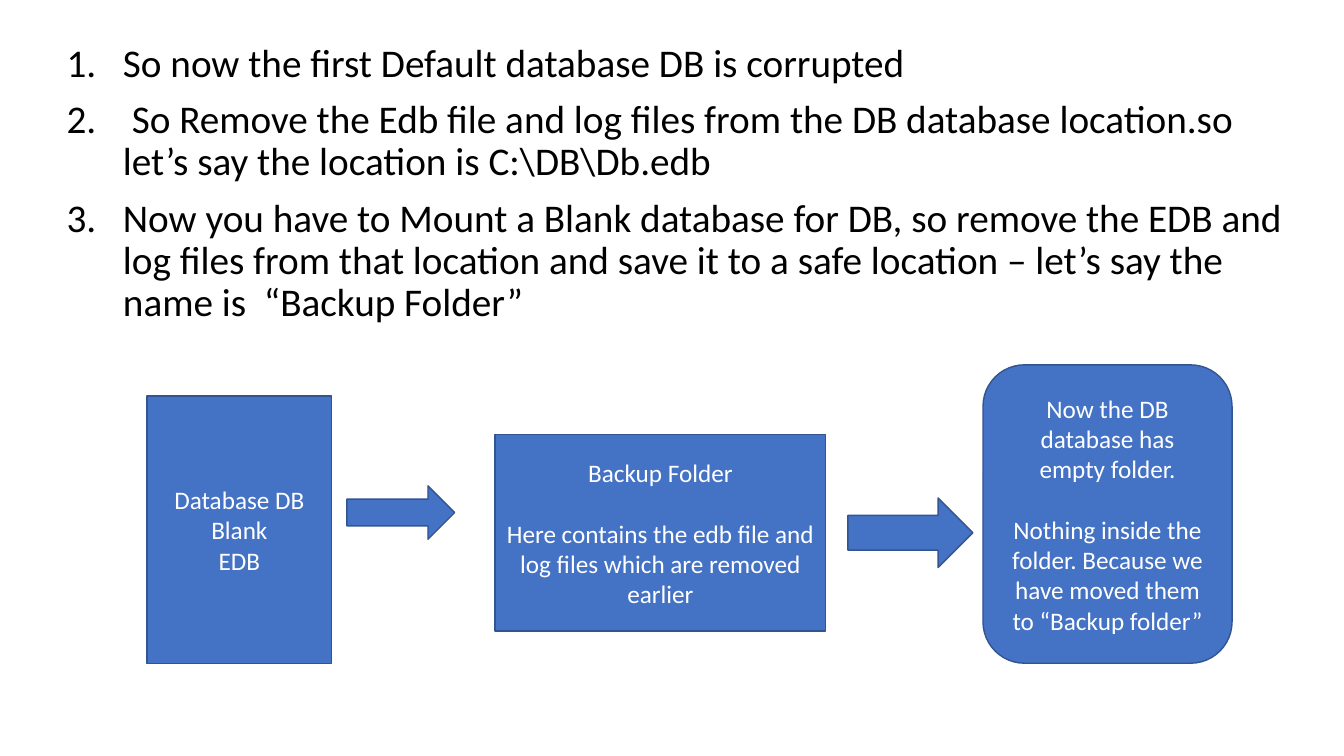
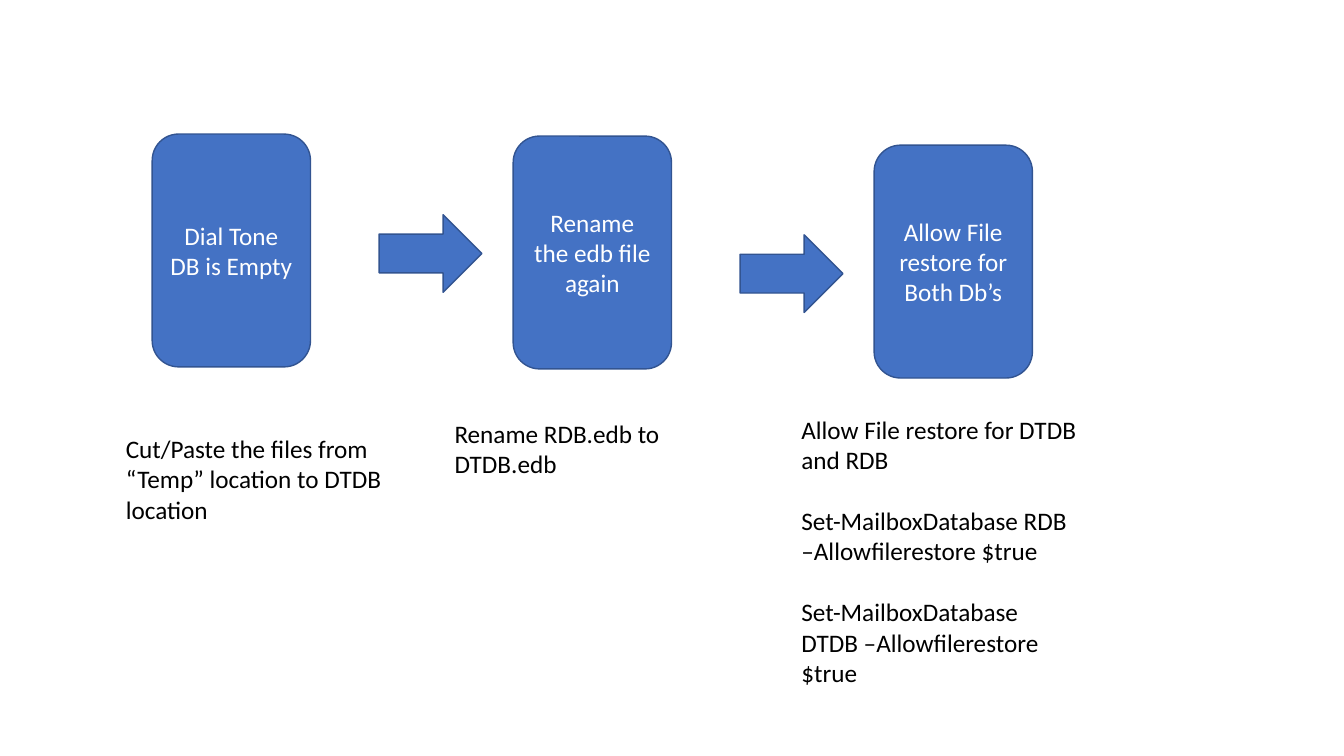
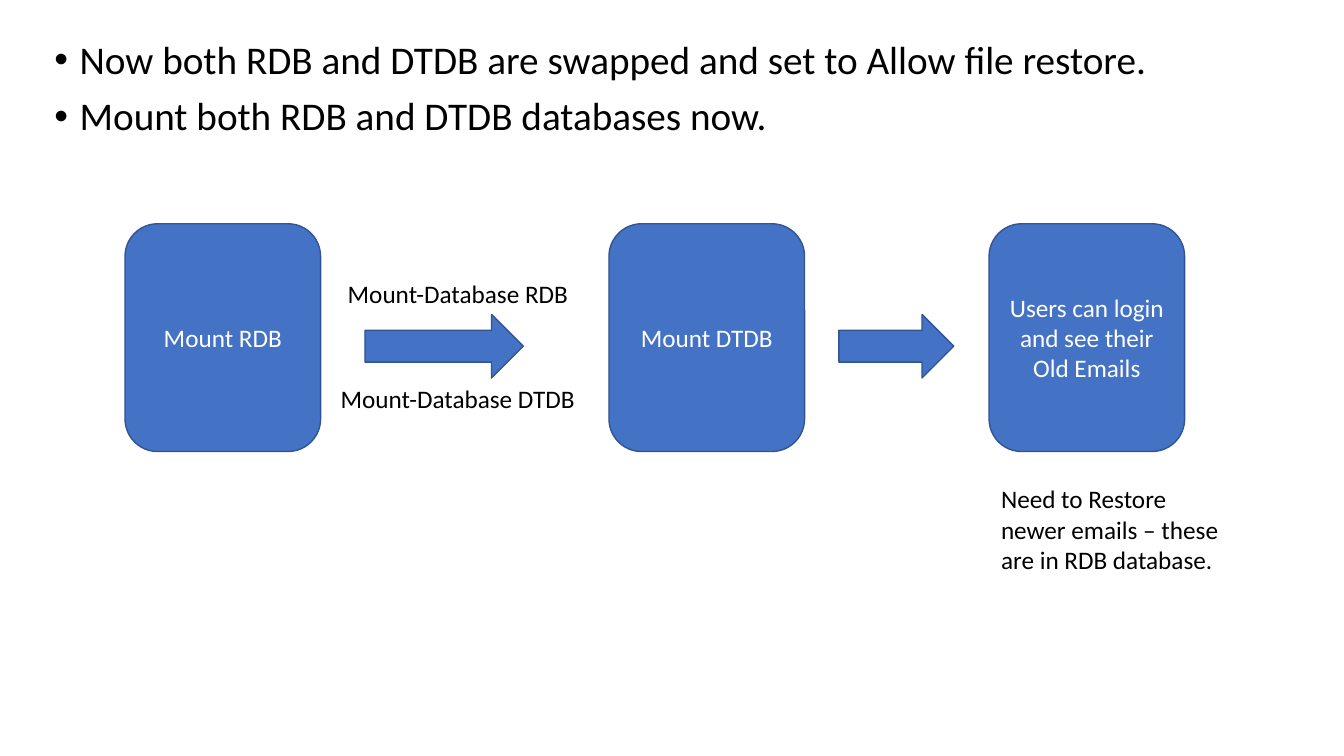
"""Build three slides on swapping and mounting recovery databases."""
from dataclasses import dataclass

from lxml.etree import SubElement
from pptx import Presentation
from pptx.dml.color import RGBColor as Rgb
from pptx.enum.shapes import MSO_SHAPE as Shape
from pptx.enum.text import MSO_ANCHOR as Anchor, MSO_AUTO_SIZE as AutoSize, PP_ALIGN as Align
from pptx.oxml.ns import qn
from pptx.util import Inches, Pt


@dataclass(frozen=True)
class Theme:
    font: str = "Calibri"
    box_fill: Rgb = Rgb(0x44, 0x72, 0xC4)
    box_line: Rgb = Rgb(0x32, 0x54, 0x91)
    on_box: Rgb = Rgb(0xFF, 0xFF, 0xFF)
    ink: Rgb = Rgb(0, 0, 0)
    body_size: Pt = Pt(18)
    list_size: Pt = Pt(28)
    line_width: Pt = Pt(1)
    block_gap: Pt = Pt(22)
    list_gap: Pt = Pt(10)


class Deck:
    CONTENT, BLANK = 1, 6

    def __init__(self, theme):
        self.theme = theme
        self.prs = Presentation()
        self.prs.slide_width, self.prs.slide_height = Inches(13.33), Inches(7.5)
        self.slide = None

    def add_slide(self, layout):
        self.slide = self.prs.slides.add_slide(self.prs.slide_layouts[layout])

    def style(self, paragraph, size, color):
        font = paragraph.font
        font.name, font.size, font.color.rgb = self.theme.font, size, color

    def fill_text(self, frame, blocks, color, align):
        lines = [(line, number > 0 and row == 0)
                 for number, block in enumerate(blocks)
                 for row, line in enumerate(block.split("\n"))]
        for index, (line, starts_block) in enumerate(lines):
            paragraph = frame.add_paragraph() if index else frame.paragraphs[0]
            paragraph.text, paragraph.alignment = line, align
            if starts_block:
                paragraph.space_before = self.theme.block_gap
            self.style(paragraph, self.theme.body_size, color)

    def listing(self, left, top, width, height, items, indent, numbered=False):
        self.add_slide(self.CONTENT)
        title, body = self.slide.placeholders
        title.element.getparent().remove(title.element)
        body.left, body.top, body.width, body.height = map(Inches, (left, top, width, height))
        frame = body.text_frame
        frame.auto_size = AutoSize.NONE
        for index, item in enumerate(items):
            paragraph = frame.add_paragraph() if index else frame.paragraphs[0]
            paragraph.text = item
            paragraph.line_spacing, paragraph.space_before = 0.9, self.theme.list_gap
            props = paragraph._p.get_or_add_pPr()
            props.set("marL", str(Inches(indent)))
            props.set("indent", str(-Inches(indent)))
            if numbered:
                SubElement(props, qn("a:buFont"), typeface="+mj-lt")
                SubElement(props, qn("a:buAutoNum"), type="arabicPeriod")
            else:
                SubElement(props, qn("a:buFont"), typeface="Arial")
                SubElement(props, qn("a:buChar"), char="•")
            self.style(paragraph, self.theme.list_size, self.theme.ink)

    def box(self, left, top, width, height, *blocks, kind=Shape.ROUNDED_RECTANGLE):
        box = self.slide.shapes.add_shape(kind, *map(Inches, (left, top, width, height)))
        box.shadow.inherit = False
        box.fill.solid()
        box.fill.fore_color.rgb = self.theme.box_fill
        box.line.color.rgb, box.line.width = self.theme.box_line, self.theme.line_width
        if blocks:
            box.text_frame.vertical_anchor = Anchor.MIDDLE
            self.fill_text(box.text_frame, blocks, self.theme.on_box, Align.CENTER)

    def arrow(self, left, top, width, height):
        self.box(left, top, width, height, kind=Shape.RIGHT_ARROW)

    def note(self, left, top, width, height, *blocks, wrap=True):
        note = self.slide.shapes.add_textbox(*map(Inches, (left, top, width, height)))
        frame = note.text_frame
        frame.word_wrap, frame.auto_size = wrap, AutoSize.SHAPE_TO_FIT_TEXT
        self.fill_text(frame, blocks, self.theme.ink, Align.LEFT)


def backup_slide(deck):
    deck.listing(0.56, 0.38, 12.37, 6.77, [
        "So now the first Default database DB is corrupted",
        " So Remove the Edb file and log files from the DB database location.so "
        "let’s say the location is C:\\DB\\Db.edb",
        "Now you have to Mount a Blank database for DB, so remove the EDB and log files "
        "from that location and save it to a safe location – let’s say the name is  “Backup Folder”",
    ], indent=0.56, numbered=True)
    deck.box(1.46, 3.93, 1.83, 2.65, "Database DB\nBlank\nEDB", kind=Shape.RECTANGLE)
    deck.arrow(3.44, 4.82, 1.07, 0.53)
    deck.box(4.91, 4.31, 3.28, 1.95, "Backup Folder",
             "Here contains the edb file and log files which are removed earlier",
             kind=Shape.RECTANGLE)
    deck.arrow(8.41, 4.94, 1.24, 0.69)
    deck.box(9.75, 3.62, 2.47, 2.96, "Now the DB database has empty folder.",
             "Nothing inside the folder. Because we have moved them to “Backup folder”")


def rename_slide(deck):
    deck.add_slide(deck.BLANK)
    pitch = 3.58
    steps = [(1.33, "Dial Tone DB is Empty"),
             (1.35, "Rename the edb file again"),
             (1.44, "Allow File restore for Both Db’s")]
    for column, (top, step) in enumerate(steps):
        deck.box(1.51 + column * pitch, top, 1.57, 2.31, step)
    for column, top in enumerate((2.13, 2.33)):
        deck.arrow(3.76 + column * pitch, top, 1.02, 0.77)
    deck.note(1.15, 4.25, 2.94, 1.01, "Cut/Paste the files from “Temp” location to DTDB location")
    deck.note(4.41, 4.1, 2.94, 0.71, "Rename RDB.edb to DTDB.edb")
    deck.note(7.85, 4.06, 2.94, 3.13, "Allow File restore for DTDB and RDB",
              *(f"Set-MailboxDatabase {name} –Allowfilerestore $true" for name in ("RDB", "DTDB")))


def mount_slide(deck):
    deck.listing(0.44, 0.35, 12.54, 6.82, [
        "Now both RDB and DTDB are swapped and set to Allow file restore.",
        "Mount both RDB and DTDB databases now.",
    ], indent=0.25)
    for left, step in ((1.24, "Mount RDB"), (6.04, "Mount DTDB"),
                       (9.81, "Users can login and see their Old Emails")):
        deck.box(left, 2.22, 1.94, 2.26, step)
    for left, width in ((3.62, 1.57), (8.32, 1.14)):
        deck.arrow(left, 3.12, width, 0.63)
    deck.note(3.35, 2.71, 2.42, 0.4, "Mount-Database RDB", wrap=False)
    deck.note(3.28, 3.75, 2.56, 0.4, "Mount-Database DTDB", wrap=False)
    deck.note(9.83, 4.75, 2.52, 1.01, "Need to Restore newer emails – these are in RDB database.")


deck = Deck(Theme())
for build in (backup_slide, rename_slide, mount_slide):
    build(deck)
deck.prs.save("out.pptx")
